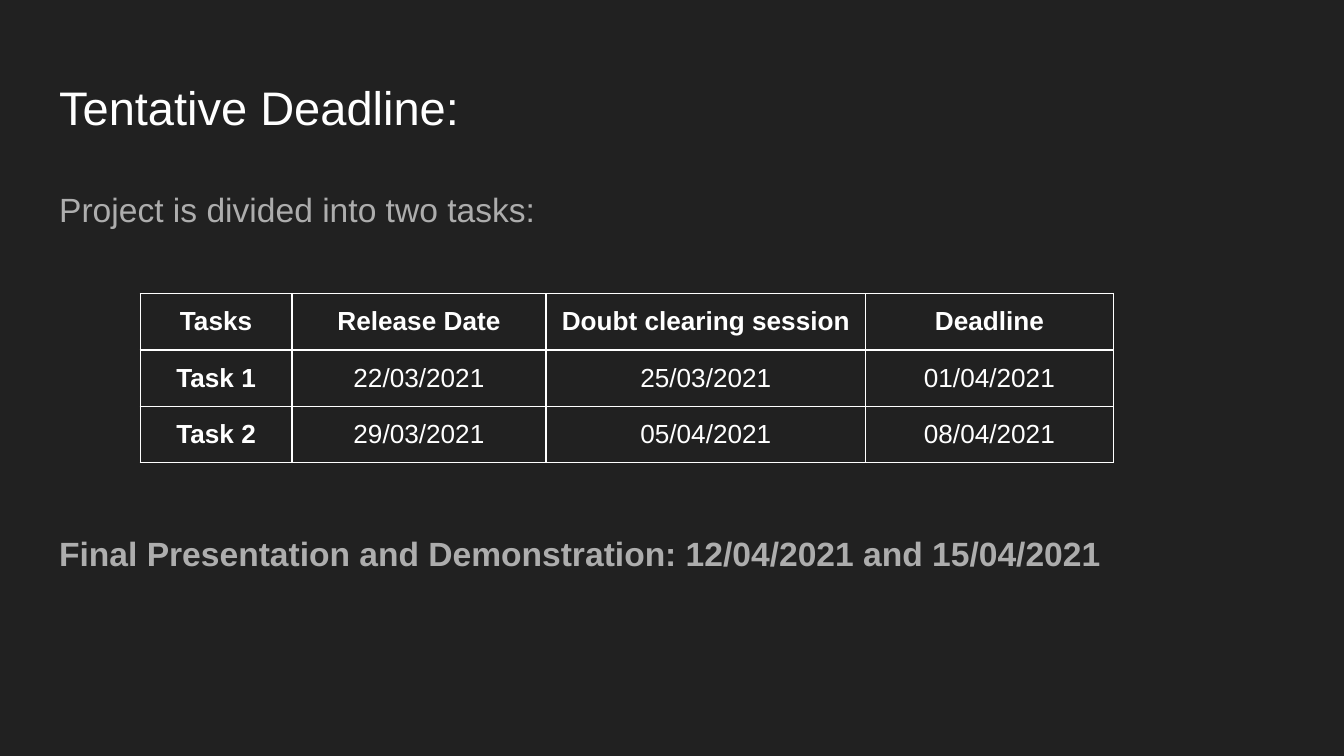
from lxml.etree import SubElement
from pptx import Presentation
from pptx.dml.color import RGBColor
from pptx.enum.text import MSO_ANCHOR, MSO_AUTO_SIZE, PP_ALIGN
from pptx.oxml import parse_xml
from pptx.oxml.ns import nsdecls, qn
from pptx.util import Inches, Pt

COLORS = {"background": "212121", "white": "FFFFFF", "body": "ADADAD"}
COLS, ROWS = 100, 56.25
HEADER = ["Tasks", "Release Date", "Doubt clearing session", "Deadline"]
TASKS = [
    ["Task 1", "22/03/2021", "25/03/2021", "01/04/2021"],
    ["Task 2", "29/03/2021", "05/04/2021", "08/04/2021"],
]


class Deck:
    """Holds the style and the current slide; lengths are grid columns and rows."""

    font = "Arial"
    inset = Inches(0.1)

    def __init__(self, prs):
        self.col = prs.slide_width / COLS
        self.row = prs.slide_height / ROWS
        self.s = prs.slides.add_slide(prs.slide_layouts[1])
        fill = self.s.background.fill
        fill.solid()
        fill.fore_color.rgb = RGBColor.from_string(COLORS["background"])

    def box(self, x, y, w, h):
        return (int(x * self.col), int(y * self.row),
                int(w * self.col), int(h * self.row))

    def add_run(self, p, text, size, color, bold=False):
        r = p.add_run()
        r.text = text
        r.font.name = self.font
        r.font.size = Pt(size)
        r.font.bold = bold
        r.font.color.rgb = RGBColor.from_string(COLORS[color])

    def set_insets(self, target):
        target.margin_left = target.margin_right = self.inset
        target.margin_top = target.margin_bottom = self.inset

    def place(self, sp, x, y, w, h):
        sp.left, sp.top, sp.width, sp.height = self.box(x, y, w, h)
        tf = sp.text_frame
        tf.word_wrap = True
        tf.auto_size = MSO_AUTO_SIZE.NONE
        tf.vertical_anchor = MSO_ANCHOR.TOP
        self.set_insets(tf)
        return tf

    def title(self, text, *place):
        p = self.place(self.s.shapes.title, *place).paragraphs[0]
        p.alignment = PP_ALIGN.LEFT
        self.add_run(p, text, 25.2, "white")

    def body(self, lines, *place):
        tf = self.place(self.s.placeholders[1], *place)
        for i, (text, before, bold) in enumerate(lines):
            p = tf.add_paragraph() if i else tf.paragraphs[0]
            p.line_spacing = 1.15
            p.space_before = Pt(before)
            pPr = p._p.get_or_add_pPr()
            pPr.set("marL", "0")
            pPr.set("indent", "0")
            SubElement(pPr, qn("a:buNone"))
            self.add_run(p, text, 18, "body", bold)

    def border(self, cell):
        tcPr = cell._tc.get_or_add_tcPr()
        for i, side in enumerate(("lnL", "lnR", "lnT", "lnB")):
            tcPr.insert(i, parse_xml(
                f'<a:{side} {nsdecls("a")} w="{Pt(0.75)}"><a:solidFill>'
                f'<a:srgbClr val="{COLORS["white"]}"/></a:solidFill></a:{side}>'))

    def table(self, data, x, y, widths, row_height):
        place = self.box(x, y, sum(widths), row_height * len(data))
        table = self.s.shapes.add_table(len(data), len(widths), *place).table
        table.first_row = table.horz_banding = False
        for column, width in zip(table.columns, widths):
            column.width = int(width * self.col)
        for i, values in enumerate(data):
            table.rows[i].height = int(row_height * self.row)
            for j, text in enumerate(values):
                cell = table.cell(i, j)
                cell.fill.background()
                self.border(cell)
                self.set_insets(cell)
                p = cell.text_frame.paragraphs[0]
                p.alignment = PP_ALIGN.CENTER
                self.add_run(p, text, 14, "white", i == 0 or j == 0)


def main():
    prs = Presentation()
    prs.slide_width = Inches(10)
    prs.slide_height = prs.slide_width * 9 // 16
    deck = Deck(prs)
    deck.title("Tentative Deadline:", 3.4, 4.85, 93.2, 6.3)
    deck.body([
        ("Project is divided into two tasks:", 0, False),
        ("Final Presentation and Demonstration: 12/04/2021 and 15/04/2021", 159.5, True),
    ], 3.4, 12.6, 93.2, 37.4)
    deck.table([HEADER] + TASKS, 10.43, 21.86, [11.3, 18.9, 23.8, 18.4], 4.17)
    prs.save("out.pptx")


if __name__ == "__main__":
    main()
